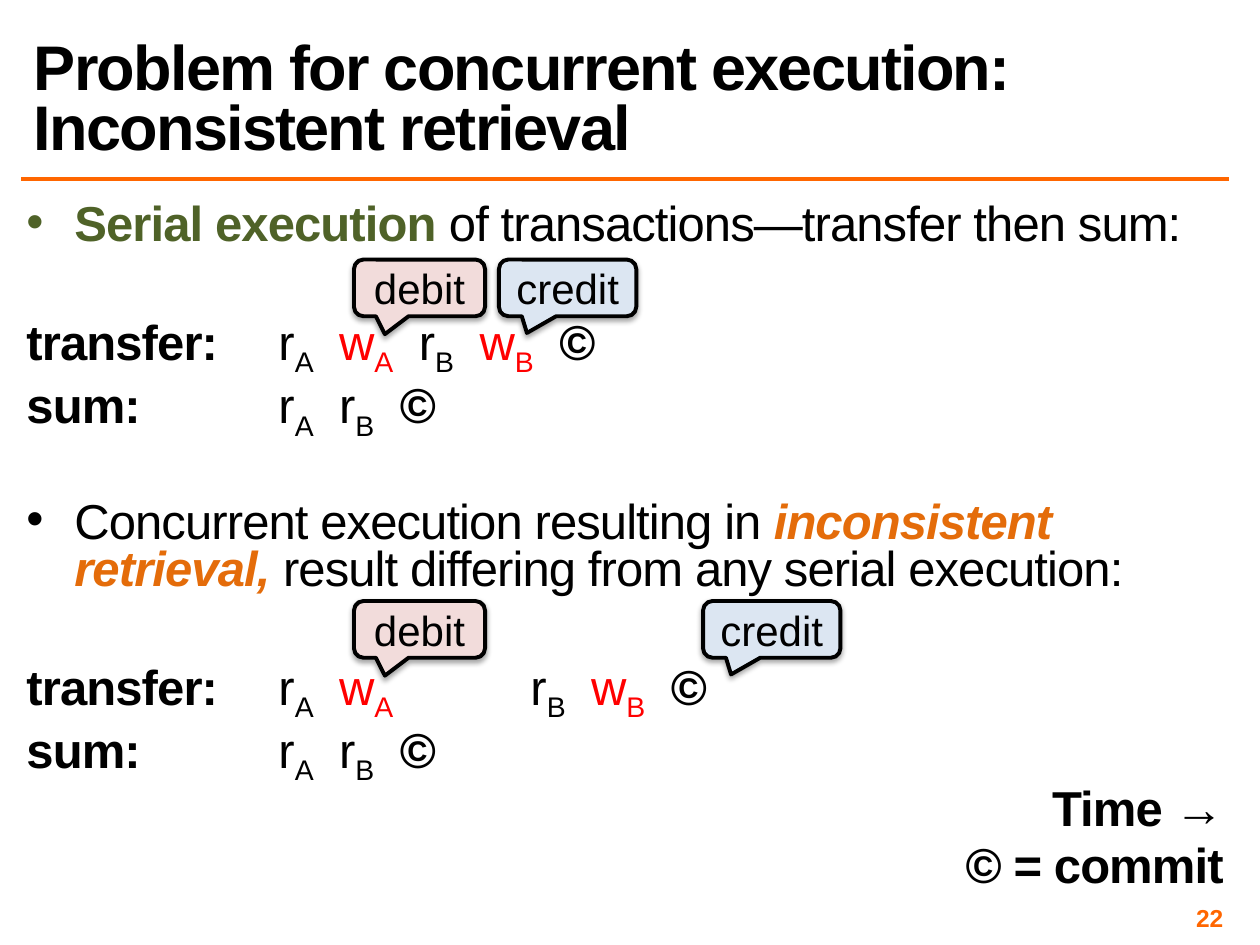
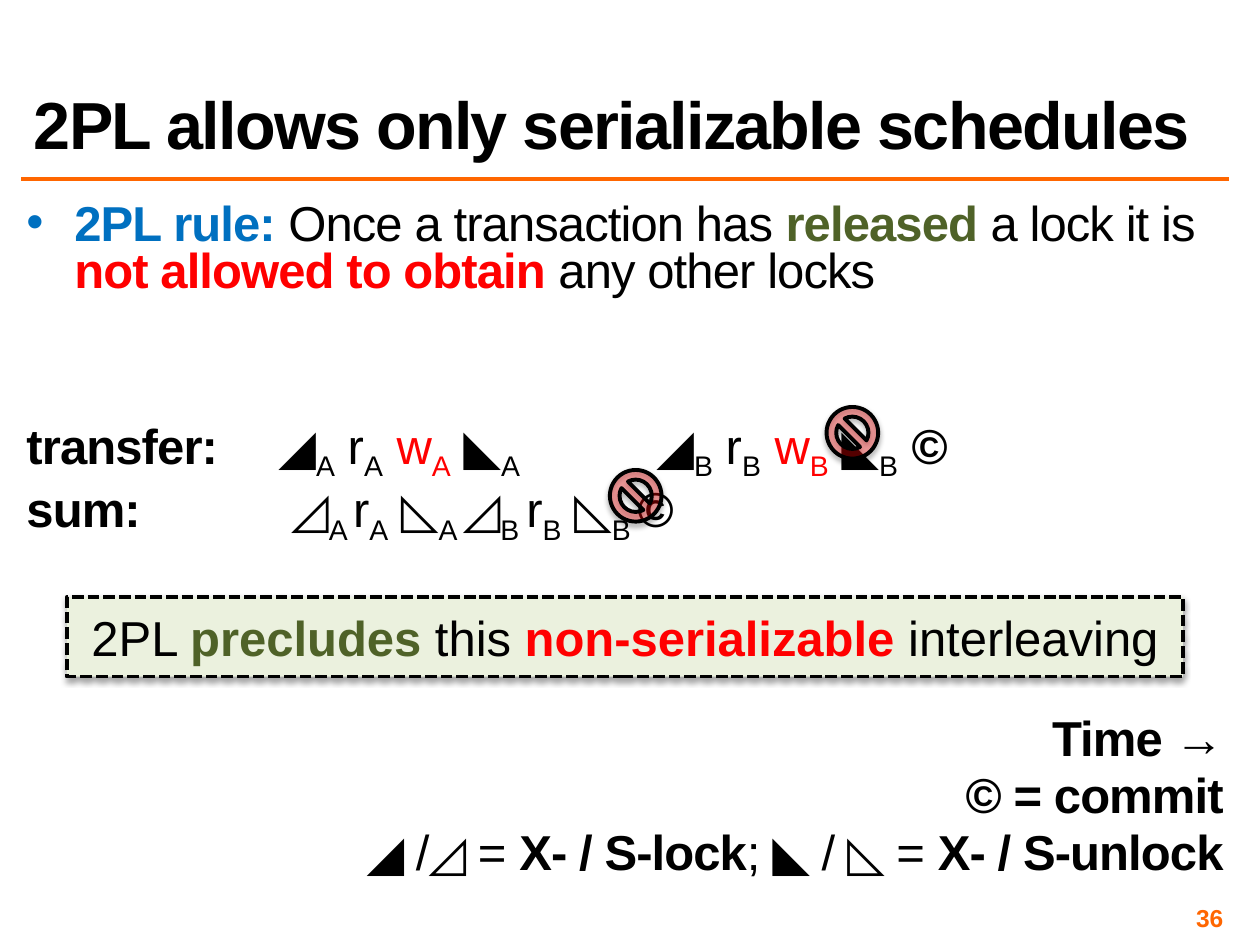
from dataclasses import dataclass

from lxml.etree import SubElement
from pptx import Presentation
from pptx.dml.color import RGBColor
from pptx.enum.dml import MSO_LINE
from pptx.enum.shapes import MSO_CONNECTOR, MSO_SHAPE
from pptx.enum.text import MSO_ANCHOR, PP_ALIGN
from pptx.oxml.ns import qn
from pptx.util import Inches, Pt

BLACK = RGBColor(0x00, 0x00, 0x00)
RED = RGBColor(0xFF, 0x00, 0x00)
ACCENT = RGBColor(0xFF, 0x66, 0x00)
ORANGE = RGBColor(0xE4, 0x6C, 0x0A)
GREEN = RGBColor(0x4F, 0x62, 0x28)
BLUE = RGBColor(0x00, 0x70, 0xC0)
PINK_FILL = RGBColor(0xF2, 0xDC, 0xDB)
BLUE_FILL = RGBColor(0xDC, 0xE6, 0xF2)
GREEN_FILL = RGBColor(0xEB, 0xF1, 0xDE)

FONT = "Arial"
BODY_SIZE = 28
BODY_SPACING = -0.5
LEFT, RIGHT = 0.17, 9.75
SPACE_BEFORE = 5.6
ROW_GAP = 32.5  # height of one skipped body row, in points
TIME_SLOT = 0.5  # schedule rows share tab stops at this pitch, in inches
TIME_SLOTS = 10
# Separators between schedule steps and the format that sets each width.
GAPS = {"=": {"spacing": 6.8},
        " ": {"spacing": BODY_SPACING},
        "~": {"spacing": BODY_SPACING, "subscript": True}}


@dataclass
class Callout:
    """A labelled speech bubble above a write step."""
    label: str
    left: float
    top: float
    width: float
    fill: RGBColor
    tip: tuple[float, float]


def debit(left: float, top: float) -> Callout:
    """Describe a debit callout."""
    return Callout("debit", left, top, 1.04, PINK_FILL, (-0.264, 0.816))


def credit(left: float, top: float) -> Callout:
    """Describe a credit callout."""
    return Callout("credit", left, top, 1.09, BLUE_FILL, (-0.296, 0.795))


def add_text(paragraph, text: str, *, size: float = BODY_SIZE,
             color: RGBColor = BLACK, bold: bool = False,
             italic: bool = False, spacing: float = 0,
             subscript: bool = False) -> None:
    """Append one formatted run to a paragraph."""
    run = paragraph.add_run()
    run.text = text
    font = run.font
    font.name, font.size, font.bold, font.italic = FONT, Pt(size), bold, italic
    font.color.rgb = color
    properties = run._r.get_or_add_rPr()
    if spacing:
        properties.set("spc", str(round(spacing * 100)))
    if subscript:
        properties.set("baseline", "-25000")


def add_frame(slide, left: float, top: float, width: float, height: float,
              anchor=MSO_ANCHOR.TOP, inset: tuple[float, float] = (0.04, 0.04)):
    """Add a wrapping text box and return its text frame."""
    box = slide.shapes.add_textbox(Inches(left), Inches(top),
                                   Inches(width), Inches(height))
    frame = box.text_frame
    frame.word_wrap = True
    frame.vertical_anchor = anchor
    frame.margin_left = frame.margin_right = Inches(inset[0])
    frame.margin_top = frame.margin_bottom = Inches(inset[1])
    return frame


def add_row(body, skipped: int = 0, align=PP_ALIGN.LEFT):
    """Start a body paragraph, leaving room for skipped rows above it."""
    first = body.paragraphs[0]
    paragraph = body.add_paragraph() if first.runs else first
    paragraph.alignment = align
    paragraph.line_spacing = 0.8
    paragraph.space_before = Pt(SPACE_BEFORE + skipped * ROW_GAP)
    return paragraph


def add_phrases(paragraph, *phrases: tuple[str, dict]) -> None:
    """Write body phrases, each with its own emphasis."""
    for text, emphasis in phrases:
        add_text(paragraph, text, spacing=BODY_SPACING, **emphasis)


def add_bullet(body, *phrases: tuple[str, dict], skipped: int = 0) -> None:
    """Add a bulleted body paragraph."""
    paragraph = add_row(body, skipped)
    properties = paragraph._p.get_or_add_pPr()
    properties.set("marL", str(Inches(0.38)))
    properties.set("indent", str(-Inches(0.38)))
    SubElement(properties, qn("a:buFont")).set("typeface", FONT)
    SubElement(properties, qn("a:buChar")).set("char", "\u2022")
    add_phrases(paragraph, *phrases)


def add_schedule(body, label: str, steps: str, skipped: int = 0) -> None:
    """Add a transaction row: bold label, then steps with A/B subscripts.

    Each tab in the steps moves on to the next time slot.
    """
    paragraph = add_row(body, skipped)
    stops = SubElement(paragraph._p.get_or_add_pPr(), qn("a:tabLst"))
    for slot in range(1, TIME_SLOTS + 1):
        stop = SubElement(stops, qn("a:tab"))
        stop.set("pos", str(Inches(slot * TIME_SLOT)))
        stop.set("algn", "l")
    add_text(paragraph, label, bold=True, spacing=BODY_SPACING)
    color = BLACK
    for mark in steps:
        if mark in GAPS:
            add_text(paragraph, " ", **GAPS[mark])
            continue
        is_item = mark in "AB"
        if not is_item:
            color = RED if mark == "w" else BLACK
        add_text(paragraph, mark, color=color, bold=mark == "\u00a9",
                 spacing=BODY_SPACING, subscript=is_item)


def add_legend(body, skipped: int = 0) -> None:
    """Add the right-aligned key that both slides share."""
    for text, gap in (("Time \u2192", skipped), ("\u00a9 = commit", 0)):
        add_phrases(add_row(body, gap, PP_ALIGN.RIGHT), (text, {"bold": True}))


def add_figure(slide, kind, left: float, top: float, width: float,
               height: float, fill: RGBColor, alpha: int = 100):
    """Add a filled, black-outlined preset shape with a soft shadow."""
    figure = slide.shapes.add_shape(kind, Inches(left), Inches(top),
                                    Inches(width), Inches(height))
    figure.fill.solid()
    figure.fill.fore_color.rgb = fill
    figure.line.color.rgb = BLACK
    figure.line.width = Pt(2.25)
    figure.shadow.inherit = False
    properties = figure._element.spPr
    if alpha < 100:
        tint = properties.find(qn("a:solidFill")).find(qn("a:srgbClr"))
        SubElement(tint, qn("a:alpha")).set("val", str(alpha * 1000))
    shadow = SubElement(properties.find(qn("a:effectLst")), qn("a:outerShdw"))
    for key, value in (("blurRad", Pt(3.1)), ("dist", Pt(1.8)),
                       ("dir", 90 * 60000), ("rotWithShape", 0)):
        shadow.set(key, str(int(value)))
    shade = SubElement(shadow, qn("a:srgbClr"))
    shade.set("val", str(BLACK))
    SubElement(shade, qn("a:alpha")).set("val", "35000")
    return figure


def centred_paragraph(figure):
    """Return the centred paragraph of a figure."""
    frame = figure.text_frame
    frame.word_wrap = True
    frame.vertical_anchor = MSO_ANCHOR.MIDDLE
    paragraph = frame.paragraphs[0]
    paragraph.alignment = PP_ALIGN.CENTER
    return paragraph


def add_callout(slide, callout: Callout) -> None:
    """Draw a callout with its label."""
    bubble = add_figure(slide, MSO_SHAPE.ROUNDED_RECTANGULAR_CALLOUT,
                        callout.left, callout.top, callout.width, 0.45,
                        callout.fill)
    for index, value in enumerate((*callout.tip, 0.167)):
        bubble.adjustments[index] = value
    add_text(centred_paragraph(bubble), callout.label, size=24)


def add_page(deck, title: str, number: int, title_size: float = 36):
    """Add a slide with rule, title and number; return it and its body."""
    slide = deck.slides.add_slide(deck.slide_layouts[6])
    rule = slide.shapes.add_connector(
        MSO_CONNECTOR.STRAIGHT, Inches(LEFT), Inches(1.42),
        Inches(RIGHT), Inches(1.42))
    rule.line.color.rgb = ACCENT
    rule.line.width = Pt(2)
    SubElement(rule._element.spPr, qn("a:effectLst"))

    body = add_frame(slide, LEFT, 1.58, RIGHT - LEFT, 5.5)

    footer = add_frame(slide, 7.42, 7.17, 2.33, 0.23, MSO_ANCHOR.MIDDLE)
    footer.paragraphs[0].alignment = PP_ALIGN.RIGHT
    add_text(footer.paragraphs[0], str(number), size=14, color=ACCENT,
             bold=True)

    heading = add_frame(slide, LEFT, 0.17, RIGHT - LEFT, 1.17,
                        MSO_ANCHOR.BOTTOM, inset=(0.1, 0.05))
    heading.paragraphs[0].line_spacing = 0.8
    add_text(heading.paragraphs[0], title, size=title_size, bold=True,
             spacing=-1)
    return slide, body


def build_retrieval(deck) -> None:
    """Build the slide on inconsistent retrieval."""
    slide, body = add_page(
        deck, "Problem for concurrent execution: Inconsistent retrieval", 22)
    add_bullet(body,
               ("Serial execution ", {"color": GREEN, "bold": True}),
               ("of transactions\u2014transfer then sum:", {}))
    add_schedule(body, "transfer:", "\trA=wA=rB=wB=\u00a9", skipped=1)
    add_schedule(body, "sum:", "\t\t\trA=rB=\u00a9")
    add_bullet(body,
               ("Concurrent execution resulting in ", {}),
               ("inconsistent retrieval, ",
                {"color": ORANGE, "bold": True, "italic": True}),
               ("result differing from any serial execution:", {}),
               skipped=1)
    add_schedule(body, "transfer:", "\trA=wA\t\t\trB=wB=\u00a9", skipped=1)
    add_schedule(body, "sum:", "\t\t\trA=rB=\u00a9")
    add_legend(body)
    for top, credit_left in ((2.06, 3.96), (4.77, 5.58)):
        add_callout(slide, debit(2.81, top))
        add_callout(slide, credit(credit_left, top))


def build_two_phase_locking(deck) -> None:
    """Build the slide on two-phase locking."""
    slide, body = add_page(deck, "2PL allows only serializable schedules", 36,
                           title_size=38)
    strong_green = {"color": GREEN, "bold": True}
    strong_red = {"color": RED, "bold": True}
    add_bullet(body,
               ("2PL rule:", {"color": BLUE, "bold": True}),
               (" Once a transaction has ", {}),
               ("released ", strong_green),
               ("a lock it is ", {}),
               ("not allowed to obtain ", strong_red),
               ("any other locks", {}))
    add_schedule(body, "transfer:",
                 "\t\u25e2A rA wA \u25e3A\t\t\t\u25e2B rB wB \u25e3B \u00a9",
                 skipped=2)
    add_schedule(body, "sum:",
                 "\t\t\t \u25ffA~rA \u25faA~\u25ffB~rB \u25faB~\u00a9")
    add_legend(body, skipped=3)
    add_phrases(add_row(body, align=PP_ALIGN.RIGHT),
                ("\u25e2 /\u25ff = ", {}),
                ("X- / S-lock", {"bold": True}),
                ("; \u25e3 / \u25fa = ", {}),
                ("X- / S-unlock", {"bold": True}))

    conclusion = add_figure(slide, MSO_SHAPE.RECTANGLE, 0.53, 4.74, 8.86, 0.63,
                            GREEN_FILL)
    conclusion.line.dash_style = MSO_LINE.SQUARE_DOT
    paragraph = centred_paragraph(conclusion)
    for text, emphasis in (("2PL ", {}), ("precludes ", strong_green),
                           ("this ", {}), ("non-serializable ", strong_red),
                           ("interleaving", {})):
        add_text(paragraph, text, **emphasis)

    for left, top in ((6.56, 3.23), (4.84, 3.73)):
        add_figure(slide, MSO_SHAPE.NO_SYMBOL, left, top, 0.41, 0.41, RED,
                   alpha=33)


def main() -> None:
    """Build and save the deck."""
    deck = Presentation()
    deck.slide_width, deck.slide_height = Inches(10), Inches(7.5)
    build_retrieval(deck)
    build_two_phase_locking(deck)
    deck.save("out.pptx")


main()
